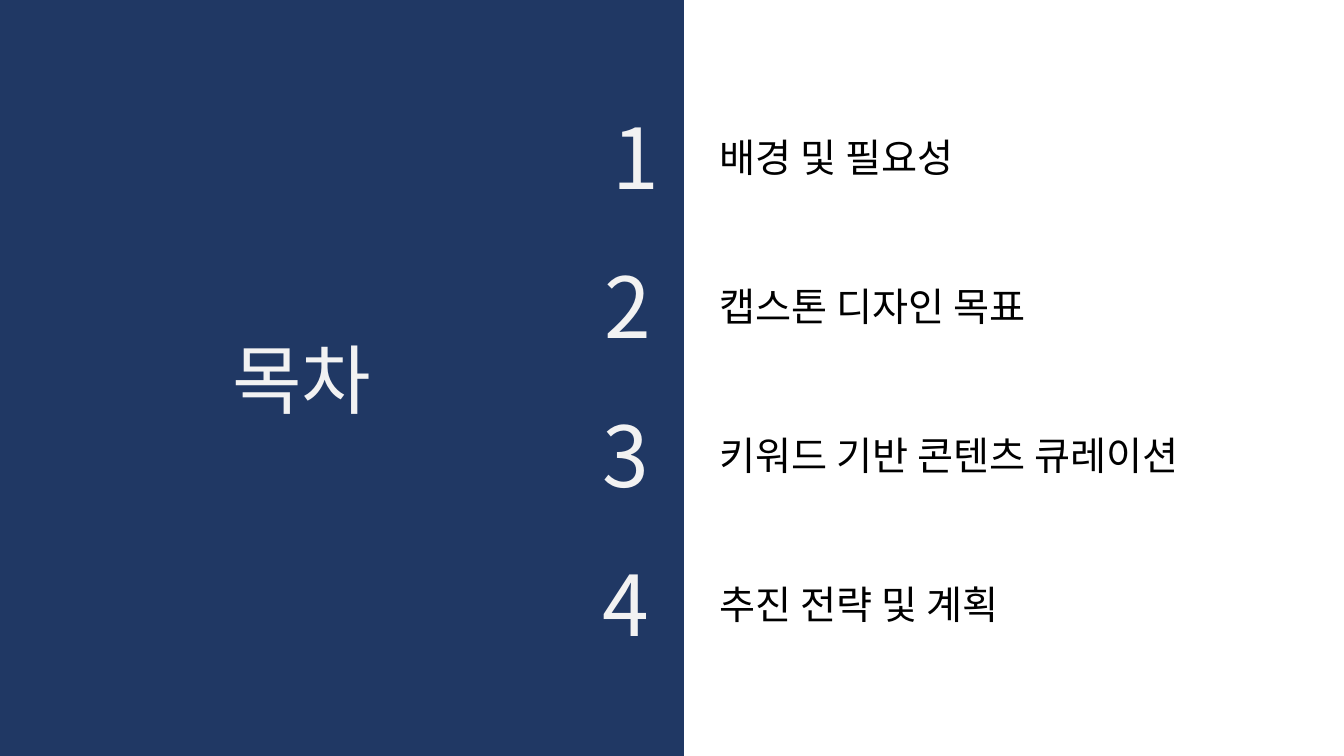
from lxml.etree import SubElement
from pptx import Presentation
from pptx.dml.color import RGBColor
from pptx.enum.shapes import MSO_SHAPE
from pptx.enum.text import MSO_ANCHOR, MSO_AUTO_SIZE, PP_ALIGN
from pptx.oxml.ns import qn
from pptx.util import Emu, Pt

COLORS = {"navy": "203864", "pale": "F2F2F2", "black": "000000"}
FONT = "Noto Sans CJK KR"
EMU_PER_PX = 914400 / 100.8
WIDTH, HEIGHT = 1344, 756


def px(length):
    return Emu(round(length * EMU_PER_PX))


class AgendaSlide:
    """Holds the style and the current slide."""

    def __init__(self, presentation):
        title_only = presentation.slide_layouts[5]
        self.slide = presentation.slides.add_slide(title_only)

    def fill(self, shape):
        shape.fill.solid()
        shape.fill.fore_color.rgb = RGBColor.from_string(COLORS["navy"])

    def set_text(self, shape, text, size, color):
        frame = shape.text_frame
        frame.text = text
        frame.word_wrap = False
        frame.auto_size = MSO_AUTO_SIZE.SHAPE_TO_FIT_TEXT
        frame.vertical_anchor = MSO_ANCHOR.TOP
        paragraph = frame.paragraphs[0]
        paragraph.alignment = PP_ALIGN.LEFT
        font = paragraph.runs[0].font
        font.size = Pt(size)
        font.color.rgb = RGBColor.from_string(COLORS[color])
        font.name = FONT
        # Korean letters take the East Asian typeface
        for properties in shape.element.iter(qn("a:rPr")):
            SubElement(properties, qn("a:ea")).set("typeface", FONT)

    def block(self, left, top, width, height):
        shape = self.slide.shapes.add_shape(
            MSO_SHAPE.RECTANGLE, px(left), px(top), px(width), px(height))
        shape.shadow.inherit = False
        shape.line.fill.background()
        self.fill(shape)
        return shape

    def side_panel(self, width):
        panel = self.block(0, 0, width, HEIGHT)
        # The panel lies behind the title
        self.slide.shapes.title.element.addprevious(panel.element)

    def title(self, text, left, top, width, height):
        heading = self.slide.shapes.title
        heading.left, heading.top = px(left), px(top)
        heading.width, heading.height = px(width), px(height)
        self.fill(heading)
        self.set_text(heading, text, 54, "pale")

    def number(self, text, left, top, width):
        self.set_text(self.block(left, top, width, 112), text, 60, "pale")

    def topic(self, text, left, top, width):
        label = self.slide.shapes.add_textbox(
            px(left), px(top), px(width), px(57))
        self.set_text(label, text, 28, "black")


def main():
    presentation = Presentation()
    presentation.slide_width = px(WIDTH)
    presentation.slide_height = px(HEIGHT)
    agenda = AgendaSlide(presentation)

    # Navy half with the heading
    agenda.side_panel(684)
    agenda.title("목차", 222, 328, 165, 102)

    # Agenda rows: topic, its width, number left and width
    rows = [
        ("배경 및 필요성", 264, 603, 64),
        ("캡스톤 디자인 목표", 340, 595, 80),
        ("키워드 기반 콘텐츠 큐레이션", 499, 593, 82),
        ("추진 전략 및 계획", 329, 593, 82),
    ]
    first_top, row_pitch = 101, 149
    for index, (topic, topic_width, number_left, number_width) in enumerate(rows):
        top = first_top + index * row_pitch
        agenda.number(str(index + 1), number_left, top, number_width)
        agenda.topic(topic, 710, top + 27, topic_width)

    presentation.save("out.pptx")


if __name__ == "__main__":
    main()
